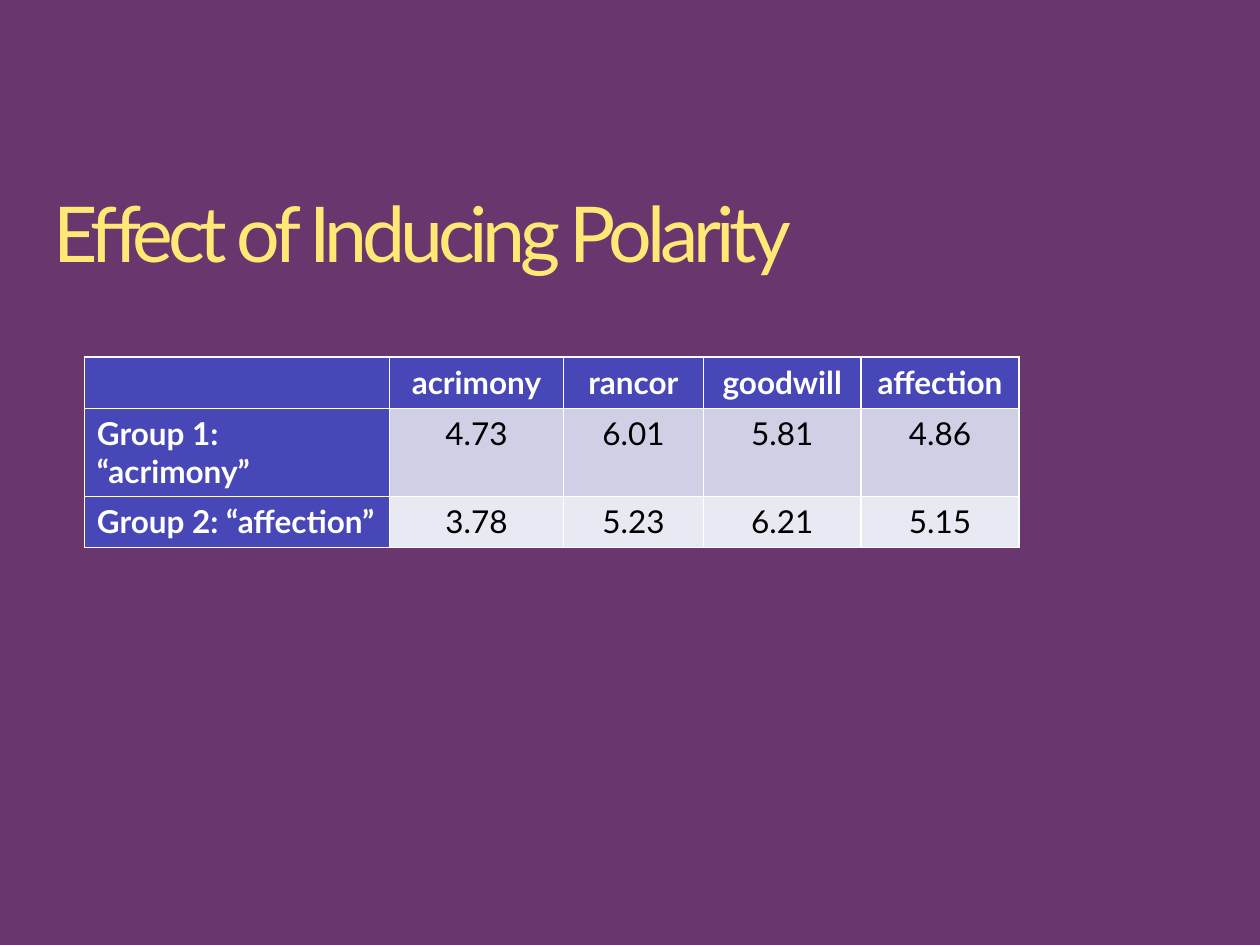
from pptx import Presentation
from pptx.dml.color import RGBColor
from pptx.enum.text import MSO_ANCHOR, PP_ALIGN
from pptx.util import Cm, Pt

LEFT, CENTER = PP_ALIGN.LEFT, PP_ALIGN.CENTER
MIDDLE = MSO_ANCHOR.MIDDLE

PURPLE = RGBColor(0x6A, 0x36, 0x6E)
YELLOW = RGBColor(0xFF, 0xE8, 0x73)
BLUE = RGBColor(0x47, 0x47, 0xB7)
BANDS = (RGBColor(0xCF, 0xCF, 0xE6), RGBColor(0xE9, 0xE9, 0xF3))
WHITE = RGBColor(0xFF, 0xFF, 0xFF)
BLACK = RGBColor(0x00, 0x00, 0x00)

RATINGS = [
    ("", "acrimony", "rancor", "goodwill", "affection"),
    ("Group 1: “acrimony”", "4.73", "6.01", "5.81", "4.86"),
    ("Group 2: “affection”", "3.78", "5.23", "6.21", "5.15"),
]
COL_WIDTHS = (6.15, 3.51, 2.82, 3.18, 3.18)
ROW_HEIGHT = 1.03


class Deck:
    """Holds the presentation, its text style and the current slide."""

    font = "Lato"

    def __init__(self, width, height):
        self.prs = Presentation()
        self.prs.slide_width, self.prs.slide_height = Cm(width), Cm(height)

    def add_slide(self, color):
        self.s = self.prs.slides.add_slide(self.prs.slide_layouts[5])
        fill = self.s.background.fill
        fill.solid()
        fill.fore_color.rgb = color

    def add_text(self, tf, text, size, color, align=LEFT, bold=False):
        p = tf.paragraphs[0]
        p.alignment = align
        r = p.add_run()
        r.text = text
        for name, value in dict(name=self.font, size=Pt(size), bold=bold).items():
            setattr(r.font, name, value)
        r.font.color.rgb = color
        return p

    def title(self, text, left, top, width, height):
        sp = self.s.shapes.title
        box = dict(left=left, top=top, width=width, height=height)
        for name, value in box.items():
            setattr(sp, name, Cm(value))
        tf = sp.text_frame
        frame = dict(margin_left=0, margin_top=0, margin_right=0,
                     margin_bottom=0, vertical_anchor=MIDDLE, word_wrap=True)
        for name, value in frame.items():
            setattr(tf, name, value)
        p = self.add_text(tf, text, 44, YELLOW)
        p.line_spacing = 0.9
        p.runs[0].font._element.set("spc", "-300")

    def table(self, rows, left, top, col_widths, row_height):
        """Add a table whose first row and first column are headings."""
        table = self.s.shapes.add_table(
            len(rows), len(col_widths), Cm(left), Cm(top),
            Cm(sum(col_widths)), Cm(row_height * len(rows))).table
        table.first_col = True
        for column, width in zip(table.columns, col_widths):
            column.width = Cm(width)
        for i, row in enumerate(rows):
            for j, text in enumerate(row):
                cell = table.cell(i, j)
                heading = i == 0 or j == 0
                cell.fill.solid()
                cell.fill.fore_color.rgb = BLUE if heading else BANDS[(i - 1) % 2]
                if text:
                    self.add_text(cell.text_frame, text, 18,
                                  WHITE if heading else BLACK,
                                  CENTER if j else LEFT, heading)


def main():
    deck = Deck(25.4, 19.05)
    deck.add_slide(PURPLE)
    deck.title("Effect of Inducing Polarity", 1.07, 3.94, 23.27, 1.7)
    deck.table(RATINGS, 1.7, 7.2, COL_WIDTHS, ROW_HEIGHT)
    deck.prs.save("out.pptx")


if __name__ == "__main__":
    main()
